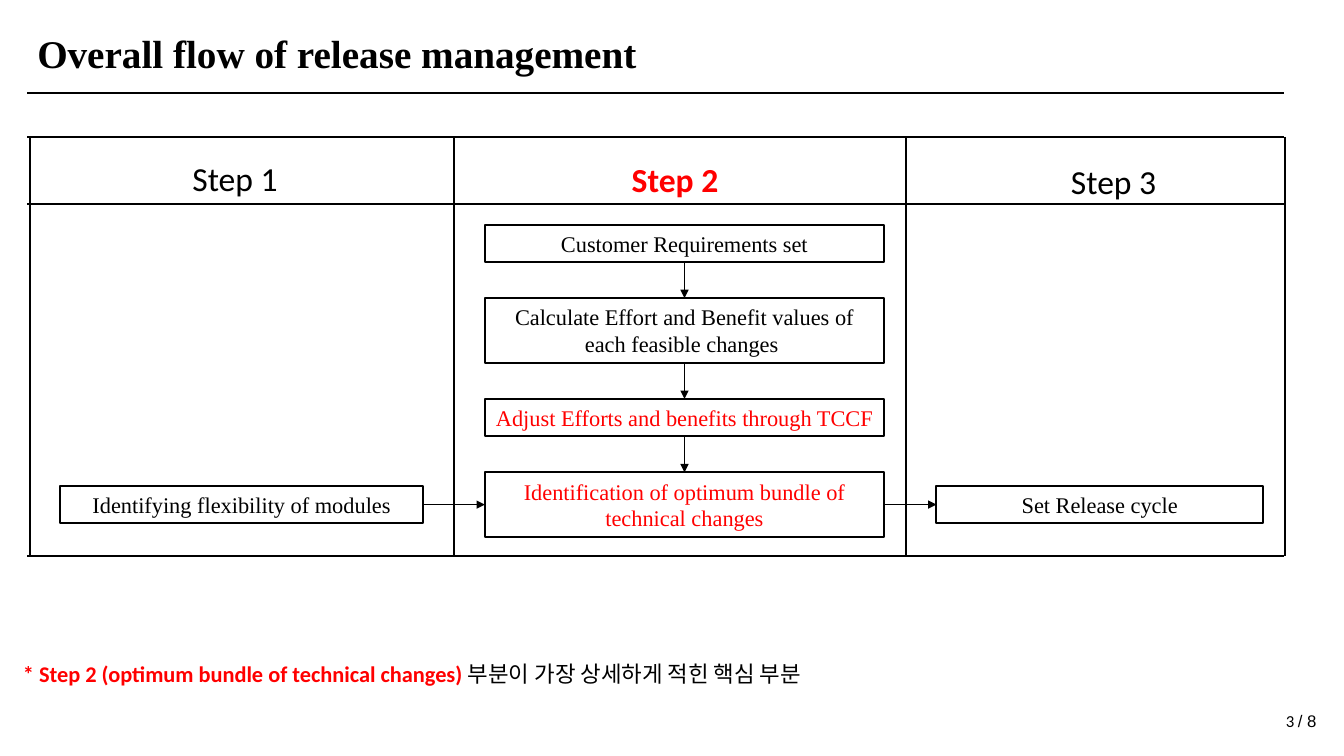
from dataclasses import dataclass
from itertools import pairwise

import pptx
import pptx.dml.color
import pptx.enum.shapes
import pptx.enum.text
import pptx.oxml
import pptx.oxml.ns
import pptx.util
from pptx.util import Cm

RGB = pptx.dml.color.RGBColor
Align = pptx.enum.text.PP_ALIGN
Anchor = pptx.enum.text.MSO_ANCHOR


@dataclass(frozen=True)
class Theme:
    black: RGB = RGB(0, 0, 0)
    red: RGB = RGB(255, 0, 0)
    serif: str = "Times New Roman"
    sans: str = "Calibri"
    plain: str = "Arial"
    title: int = 28
    heading: int = 24
    body: int = 16
    footer: int = 12
    rule: float = 1.5
    arrow: float = 0.5


THEME = Theme()


@dataclass(frozen=True)
class Run:
    text: str
    color: RGB = THEME.black
    bold: bool = False


@dataclass(frozen=True)
class Label:
    left: float
    top: float
    width: float
    height: float
    runs: tuple[Run, ...]
    size: int
    font: str = THEME.sans
    align: Align = Align.LEFT
    spacing: float = 1.0


@dataclass(frozen=True)
class Box:
    left: float
    top: float
    width: float
    height: float
    text: str
    color: RGB = THEME.black


@dataclass(frozen=True)
class Rule:
    x1: float
    y1: float
    x2: float
    y2: float


def add_label(slide, label: Label) -> None:
    shape = slide.shapes.add_textbox(
        Cm(label.left), Cm(label.top), Cm(label.width), Cm(label.height))
    shape.text_frame.word_wrap = True
    paragraph = shape.text_frame.paragraphs[0]
    paragraph.alignment = label.align
    paragraph.line_spacing = label.spacing
    paragraph.font.name = label.font
    paragraph.font.size = pptx.util.Pt(label.size)
    for part in label.runs:
        run = paragraph.add_run()
        run.text = part.text
        run.font.color.rgb = part.color
        run.font.bold = part.bold


def add_box(slide, box: Box):
    shape = slide.shapes.add_shape(
        pptx.enum.shapes.MSO_SHAPE.RECTANGLE,
        Cm(box.left), Cm(box.top), Cm(box.width), Cm(box.height))
    shape.shadow.inherit = False
    shape.fill.background()
    shape.line.color.rgb = THEME.black
    shape.line.width = pptx.util.Pt(THEME.rule)
    frame = shape.text_frame
    frame.word_wrap = True
    frame.vertical_anchor = Anchor.MIDDLE
    paragraph = frame.paragraphs[0]
    paragraph.text = box.text
    paragraph.alignment = Align.CENTER
    paragraph.font.name = THEME.serif
    paragraph.font.size = pptx.util.Pt(THEME.body)
    paragraph.font.color.rgb = box.color
    return shape


def add_line(slide, rule: Rule, width: float):
    connector = slide.shapes.add_connector(
        pptx.enum.shapes.MSO_CONNECTOR.STRAIGHT,
        Cm(rule.x1), Cm(rule.y1), Cm(rule.x2), Cm(rule.y2))
    connector.line.color.rgb = THEME.black
    connector.line.width = pptx.util.Pt(width)
    properties = connector.element.spPr
    properties.append(pptx.oxml.parse_xml(
        f'<a:effectLst {pptx.oxml.ns.nsdecls("a")}/>'))
    return connector


def add_arrow(slide, source, source_side: int, target, target_side: int) -> None:
    connector = add_line(slide, Rule(0, 0, 1, 1), THEME.arrow)
    connector.begin_connect(source, source_side)
    connector.end_connect(target, target_side)
    connector.line._get_or_add_ln().append(pptx.oxml.parse_xml(
        f'<a:tailEnd {pptx.oxml.ns.nsdecls("a")} type="triangle"/>'))


def main() -> None:
    presentation = pptx.Presentation()
    presentation.slide_width = Cm(33.87)
    presentation.slide_height = Cm(19.05)
    slide = presentation.slides.add_slide(presentation.slide_layouts[6])

    # Title rule and the three-column frame
    left, right, top, bottom = 0.69, 32.36, 3.45, 14.0
    for y in (2.34, top, 5.13, bottom):
        add_line(slide, Rule(left, y, right, y), THEME.rule)
    for x in (0.76, 11.43, 22.83, 32.39):
        add_line(slide, Rule(x, top, x, bottom), THEME.rule)

    # Title, note and page number
    labels = [
        Label(left, 0.61, 25.81, 1.45,
              (Run("Overall flow of release management", bold=True),),
              THEME.title, THEME.serif),
        Label(0.33, 16.18, 22.2, 1.17,
              (Run("* Step 2 (optimum bundle of technical changes) ", THEME.red, True),
               Run("부분이 가장 상세하게 적힌 핵심 부분")),
              THEME.body, spacing=1.5),
        Label(25.25, 17.78, 7.62, 1.02, (Run("3"),), THEME.footer, align=Align.RIGHT),
        Label(32.46, 17.78, 1.63, 0.76, (Run("/ 8"),), THEME.footer, THEME.plain),
    ]

    # Column headings
    heading_tops = (3.35, 3.38, 3.43)
    for index, heading_top in enumerate(heading_tops):
        current = index == 1
        run = Run(f"Step {index + 1}", THEME.red if current else THEME.black, current)
        labels.append(Label(4.6 + 11.07 * index, heading_top, 2.92, 1.63,
                            (run,), THEME.heading, spacing=1.5))
    for label in labels:
        add_label(slide, label)

    # Step 2: stacked boxes with equal gaps
    one_line, two_lines, gap = 0.94, 1.63, 0.91
    stages = (
        ("Customer Requirements set", one_line, THEME.black),
        ("Calculate Effort and Benefit values of each feasible changes ",
         two_lines, THEME.black),
        ("Adjust Efforts and benefits through TCCF", one_line, THEME.red),
        ("Identification of optimum bundle of technical changes",
         two_lines, THEME.red),
    )
    stage_top = 5.66
    stage_boxes = []
    for text, height, color in stages:
        stage_boxes.append(add_box(slide, Box(12.22, stage_top, 10.06, height, text, color)))
        stage_top += height + gap
    for upper, lower in pairwise(stage_boxes):
        add_arrow(slide, upper, 2, lower, 0)

    # Steps 1 and 3: boxes level with the last stage
    side_top = stage_top - gap - (two_lines + one_line) / 2
    modules_box = add_box(slide, Box(1.52, side_top, 9.14, one_line,
                                     "Identifying flexibility of modules"))
    cycle_box = add_box(slide, Box(23.6, side_top, 8.23, one_line, "Set Release cycle"))
    for source, target in pairwise((modules_box, stage_boxes[-1], cycle_box)):
        add_arrow(slide, source, 3, target, 1)

    presentation.save("out.pptx")


if __name__ == "__main__":
    main()
